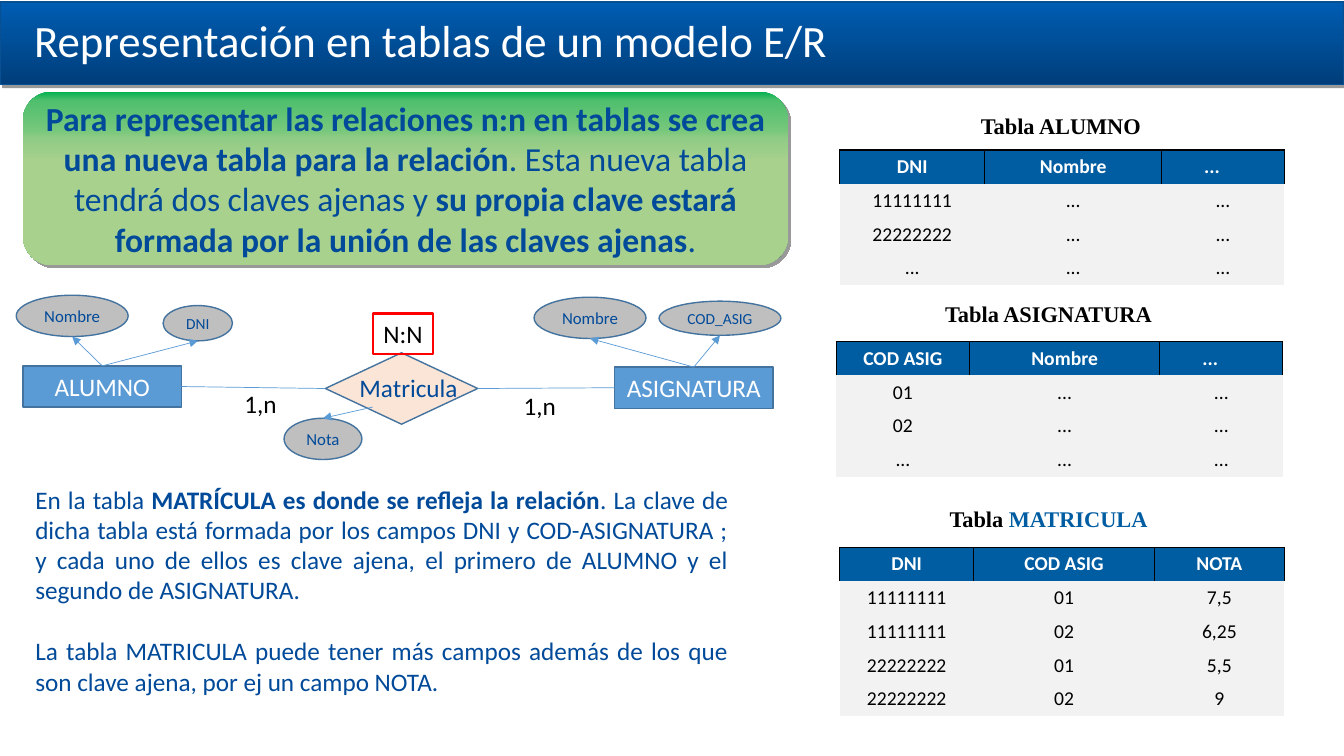
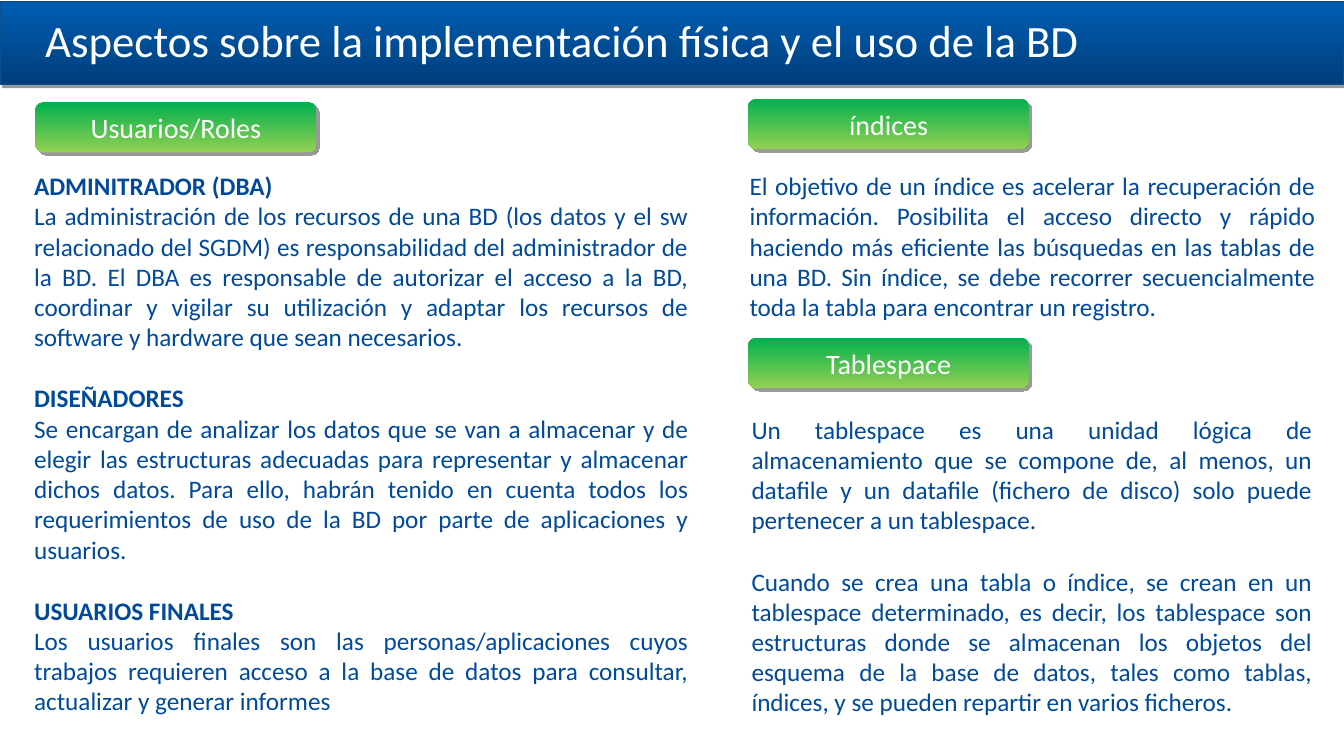
from dataclasses import dataclass

from lxml import etree
from pptx import Presentation
from pptx.dml.color import RGBColor
from pptx.enum.shapes import MSO_CONNECTOR, MSO_SHAPE
from pptx.enum.text import MSO_ANCHOR, PP_ALIGN
from pptx.oxml.ns import qn
from pptx.util import Cm, Pt

RECTANGLE = MSO_SHAPE.RECTANGLE
ROUNDED = MSO_SHAPE.ROUNDED_RECTANGLE
ELLIPSE = MSO_SHAPE.OVAL
DIAMOND = MSO_SHAPE.DIAMOND
STRAIGHT = MSO_CONNECTOR.STRAIGHT
TOP, MIDDLE = MSO_ANCHOR.TOP, MSO_ANCHOR.MIDDLE
LEFT, CENTER, JUSTIFY = PP_ALIGN.LEFT, PP_ALIGN.CENTER, PP_ALIGN.JUSTIFY

WHITE, BLACK, NAVY, RED = "FFFFFF", "000000", "004A99", "FF0000"
HEADER_BLUE, ROW_GRAY = "005DA2", "F2F2F2"
ENTITY_BLUE, OUTLINE_BLUE = "5B9BD5", "43739E"
ATTRIBUTE_GRAY, RELATION_PEACH = "BFBFBF", "FBE5D6"
BAND_LINE = "085091"
BAND_GRADIENT = [(0, "005DB2"), (100, "003E7B")]
BUTTON_GRADIENT = [(0, "00B050"), (100, "92D050")]
PANEL_GRADIENT = [(0, "00B050"), (5, "4EBF6D"), (22, "75C77B"), (27, "90CC85"), (41, "A9D18E")]
NO_STYLE_NO_GRID = "{2D5ABB26-0587-4C30-8999-92F81FD0307C}"
SLIDE_WIDTH, SLIDE_HEIGHT = 33.87, 19.05
ROW_HEIGHT = 0.85
ELLIPSIS_SHIFT = 0.81


@dataclass
class Style:
    size: int
    color: str = NAVY
    align: PP_ALIGN = CENTER
    font: str = "Calibri"
    bold: bool = False


TITLE = Style(32, WHITE, LEFT)
PANEL = Style(24)
BODY = Style(18, align=JUSTIFY)
CAPTION = Style(16, BLACK, font="Times New Roman", bold=True)
BUTTON = Style(20, WHITE)
ENTITY = Style(18, WHITE)
RELATION = Style(18, align=LEFT)
LABEL = Style(18, BLACK)
TABLE_HEADER = Style(14, WHITE, bold=True)
TABLE_CELL = Style(14, BLACK)


def rgb(value):
    return RGBColor.from_string(value)


def lengths(box):
    return [Cm(value) for value in box]


def child(parent, tag, **attributes):
    return etree.SubElement(parent, qn(tag), {key: str(value) for key, value in attributes.items()})


def write(frame, blocks, style, inset=0.25, anchor=TOP):
    """Each block is a list of paragraphs, and each paragraph a list of (text, bold, color) runs."""
    frame.word_wrap = True
    frame.vertical_anchor = anchor
    frame.margin_left = frame.margin_right = Cm(inset)
    paragraph = frame.paragraphs[0]
    for block_index, block in enumerate(blocks):
        for index, runs in enumerate(block):
            if block_index or index:
                paragraph = frame.add_paragraph()
            if block_index and not index:
                paragraph.space_before = Pt(22)
            add_runs(paragraph, runs, style)


def add_runs(paragraph, runs, style):
    paragraph.alignment = style.align
    for text, *options in runs:
        bold, color = (options + [None, None])[:2]
        run = paragraph.add_run()
        run.text = text
        run.font.name = style.font
        run.font.size = Pt(style.size)
        run.font.bold = style.bold if bold is None else bold
        run.font.color.rgb = rgb(color or style.color)


def add_text(slide, box, blocks, style, inset=0.25, anchor=TOP):
    shape = slide.shapes.add_textbox(*lengths(box))
    write(shape.text_frame, blocks, style, inset, anchor)
    return shape


def add_label(slide, box, text):
    return add_text(slide, box, [[[(text,)]]], LABEL, inset=0)


def add_box(slide, kind, box, fill, line=None, text=None, style=None):
    shape = slide.shapes.add_shape(kind, *lengths(box))
    shape.shadow.inherit = False
    if isinstance(fill, str):
        shape.fill.solid()
        shape.fill.fore_color.rgb = rgb(fill)
    else:
        set_gradient(shape, fill)
        set_shadow(shape)
    if line:
        shape.line.color.rgb = rgb(line)
        shape.line.width = Pt(1)
    else:
        shape.line.fill.background()
    if text:
        blocks = [[[(text,)]]] if isinstance(text, str) else text
        write(shape.text_frame, blocks, style, inset=0, anchor=MIDDLE)
    return shape


def set_gradient(shape, stops):
    shape.fill.gradient()
    shape.fill.gradient_angle = 270
    stop_list = shape.element.spPr.find(".//" + qn("a:gsLst"))
    for stop in list(stop_list):
        stop_list.remove(stop)
    for position, color in stops:
        child(child(stop_list, "a:gs", pos=position * 1000), "a:srgbClr", val=color)


def set_shadow(shape):
    effects = shape.element.spPr.find(qn("a:effectLst"))
    shadow = child(effects, "a:outerShdw", dist=Pt(3), dir=45 * 60000, algn="tl", rotWithShape=0)
    child(child(shadow, "a:srgbClr", val=BLACK), "a:alpha", val=40000)


def point(shape, across, down):
    return int(shape.left + shape.width * across), int(shape.top + shape.height * down)


def add_link(slide, start, end, arrow=False):
    connector = slide.shapes.add_connector(STRAIGHT, *start, *end)
    connector.line.color.rgb = rgb(ENTITY_BLUE)
    connector.line.width = Pt(0.5)
    if arrow:
        child(connector.line._get_or_add_ln(), "a:tailEnd", type="triangle")
    child(connector.element.spPr, "a:effectLst")


def add_attribute(slide, box, text, size, start):
    ellipse = add_box(slide, ELLIPSE, box, ATTRIBUTE_GRAY, OUTLINE_BLUE, text, Style(size))
    tip = point(ellipse, 0.5, 1 if ellipse.top < start[1] - Cm(0.6) else 0)
    add_link(slide, start, tip, arrow=True)


def add_header_border(cell):
    properties = cell._tc.get_or_add_tcPr()
    for index, side in enumerate(("a:lnL", "a:lnR", "a:lnT")):
        line = etree.Element(qn(side), {"w": str(Pt(1))})
        child(child(line, "a:solidFill"), "a:srgbClr", val=BLACK)
        properties.insert(index, line)


def add_table(slide, left, top, widths, rows):
    box = (left, top, sum(widths), ROW_HEIGHT * len(rows))
    table = slide.shapes.add_table(len(rows), len(widths), *lengths(box)).table
    table._tbl.tblPr.find(qn("a:tableStyleId")).text = NO_STYLE_NO_GRID
    table.horz_banding = False
    for column, width in zip(table.columns, widths):
        column.width = Cm(width)
    for row_index, row in enumerate(rows):
        table.rows[row_index].height = Cm(ROW_HEIGHT)
        for column_index, text in enumerate(row):
            cell = table.cell(row_index, column_index)
            header = row_index == 0
            cell.vertical_anchor = MIDDLE
            cell.fill.solid()
            cell.fill.fore_color.rgb = rgb(HEADER_BLUE if header else ROW_GRAY)
            add_runs(cell.text_frame.paragraphs[0], [(text,)], TABLE_HEADER if header else TABLE_CELL)
            if header:
                add_header_border(cell)
                if text == "...":
                    cell.margin_right = Cm(ELLIPSIS_SHIFT)


def add_slide(presentation, title, left):
    slide = presentation.slides.add_slide(presentation.slide_layouts[6])
    add_box(slide, RECTANGLE, (0, 0.05, SLIDE_WIDTH, 2.08), BAND_GRADIENT, BAND_LINE)
    add_text(slide, (left, 0.2, 27.3, 1.63), [[[(title,)]]], TITLE)
    return slide


def draw_entity_diagram(slide):
    student = add_box(slide, RECTANGLE, (0.58, 9.22, 3.99, 1.04), ENTITY_BLUE, OUTLINE_BLUE, "ALUMNO", ENTITY)
    subject = add_box(slide, RECTANGLE, (15.49, 9.25, 3.99, 1.04), ENTITY_BLUE, OUTLINE_BLUE, "ASIGNATURA", ENTITY)
    enrolment = add_box(slide, DIAMOND, (8.2, 8.89, 3.84, 1.8), RELATION_PEACH, OUTLINE_BLUE)
    add_text(slide, (8.81, 9.25, 3.28, 1.02), [[[("Matricula",)]]], RELATION)
    add_link(slide, point(student, 1, 0.5), point(enrolment, 0, 0.5))
    add_link(slide, point(enrolment, 1, 0.5), point(subject, 0, 0.5))
    add_label(slide, (12.93, 9.7, 1.35, 1.02), "1,n")
    add_label(slide, (5.89, 9.65, 1.35, 1.02), "1,n")
    cardinality = add_label(slide, (9.4, 7.9, 1.52, 1.02), "N:N")
    cardinality.line.color.rgb = rgb(RED)
    cardinality.line.width = Pt(1.5)
    student_top, subject_top = point(student, 0.5, 0), point(subject, 0.5, 0)
    for box, text, size, start in (
        ((0.41, 7.44, 2.82, 1.04), "Nombre", 12, student_top),
        ((4.11, 7.7, 1.75, 0.89), "DNI", 11, student_top),
        ((13.46, 7.49, 2.82, 1.04), "Nombre", 12, subject_top),
        ((16.61, 7.59, 3.07, 0.86), "COD_ASIG", 11, subject_top),
        ((7.16, 10.54, 1.96, 1.04), "Nota", 12, point(enrolment, 0.31, 0.76)),
    ):
        add_attribute(slide, box, text, size, start)


def draw_tables_slide(presentation):
    slide = add_slide(presentation, "Representación en tablas de un modelo E/R", 0.61)
    add_box(slide, ROUNDED, (0.58, 2.31, 19.28, 4.37), PANEL_GRADIENT, text=[[[
        ("Para representar las relaciones n:n en tablas se crea una nueva tabla para la relación", True),
        (". Esta nueva tabla tendrá dos claves ajenas y ",),
        ("su propia clave estará formada por la unión de las claves ajenas", True),
        (".",),
    ]]], style=PANEL)
    draw_entity_diagram(slide)
    add_text(slide, (0.64, 12.07, 17.96, 5.64), [
        [[
            ("En la tabla ",),
            ("MATRÍCULA es donde se refleja la relación", True),
            (". La clave de dicha tabla está formada por los campos DNI y COD-ASIGNATURA ; "
             "y cada uno de ellos es clave ajena, el primero de ALUMNO y el segundo de ASIGNATURA.",),
        ]],
        [[("La tabla MATRICULA puede tener más campos además de los que son clave ajena, "
           "por ej un campo NOTA.",)]],
    ], BODY)
    for left, top, runs in (
        (23.09, 2.69, [("Tabla ALUMNO",)]),
        (22.78, 7.42, [("Tabla ASIGNATURA",)]),
        (22.78, 12.6, [("Tabla ",), ("MATRICULA", True, HEADER_BLUE)]),
    ):
        add_text(slide, (left, top, 7.29, 0.94), [[runs]], CAPTION, anchor=MIDDLE)
    dots = "..."
    add_table(slide, 21.16, 3.78, (3.66, 4.45, 3.1), [
        ("DNI", "Nombre", dots), ("11111111", dots, dots), ("22222222", dots, dots), (dots, dots, dots),
    ])
    add_table(slide, 21.08, 8.61, (3.35, 4.8, 3.1), [
        ("COD ASIG", "Nombre", dots), ("01", dots, dots), ("02", dots, dots), (dots, dots, dots),
    ])
    add_table(slide, 21.16, 13.79, (3.38, 4.55, 3.28), [
        ("DNI", "COD ASIG", "NOTA"),
        ("11111111", "01", "7,5"),
        ("11111111", "02", "6,25"),
        ("22222222", "01", "5,5"),
        ("22222222", "02", "9"),
    ])


def draw_implementation_slide(presentation):
    slide = add_slide(presentation, "Aspectos sobre la implementación física y el uso de la BD", 0.89)
    for left, top, text in ((0.89, 2.57, "Usuarios/Roles"), (18.85, 2.49, "índices"), (18.85, 8.51, "Tablespace")):
        add_box(slide, ROUNDED, (left, top, 7.09, 1.27), BUTTON_GRADIENT, text=text, style=BUTTON)
    roles = (
        ("ADMINITRADOR (DBA)",
         "La administración de los recursos de una BD (los datos y el sw relacionado del SGDM) es responsabilidad "
         "del administrador de la BD. El DBA es responsable de autorizar el acceso a la BD, coordinar y vigilar su "
         "utilización y adaptar los recursos de software y hardware que sean necesarios."),
        ("DISEÑADORES",
         "Se encargan de analizar los datos que se van a almacenar y de elegir las estructuras adecuadas para "
         "representar y almacenar dichos datos. Para ello, habrán tenido en cuenta todos los requerimientos de uso "
         "de la BD por parte de aplicaciones y usuarios."),
        ("USUARIOS FINALES",
         "Los usuarios finales son las personas/aplicaciones cuyos trabajos requieren acceso a la base de datos "
         "para consultar, actualizar y generar informes"),
    )
    add_text(slide, (0.61, 4.17, 16.99, 14.1),
             [[[(role, True)], [(description,)]] for role, description in roles], BODY)
    add_text(slide, (18.64, 4.17, 14.76, 4.11), [[[
        ("El objetivo de un índice es acelerar la recuperación de información. Posibilita el acceso directo y "
         "rápido haciendo más eficiente las búsquedas en las tablas de una BD. Sin índice, se debe recorrer "
         "secuencialmente toda la tabla para encontrar un registro.",),
    ]]], BODY)
    add_text(slide, (18.69, 10.31, 14.63, 7.95), [
        [[("Un tablespace es una unidad lógica de almacenamiento que se compone de, al menos, un datafile y un "
           "datafile (fichero de disco) solo puede pertenecer a un tablespace.",)]],
        [[("Cuando se crea una tabla o índice, se crean en un tablespace determinado, es decir, los tablespace "
           "son estructuras donde se almacenan los objetos del esquema de la base de datos, tales como tablas, "
           "índices, y se pueden repartir en varios ficheros.",)]],
    ], BODY)


def main():
    presentation = Presentation()
    presentation.slide_width = Cm(SLIDE_WIDTH)
    presentation.slide_height = Cm(SLIDE_HEIGHT)
    draw_tables_slide(presentation)
    draw_implementation_slide(presentation)
    presentation.save("out.pptx")


if __name__ == "__main__":
    main()
